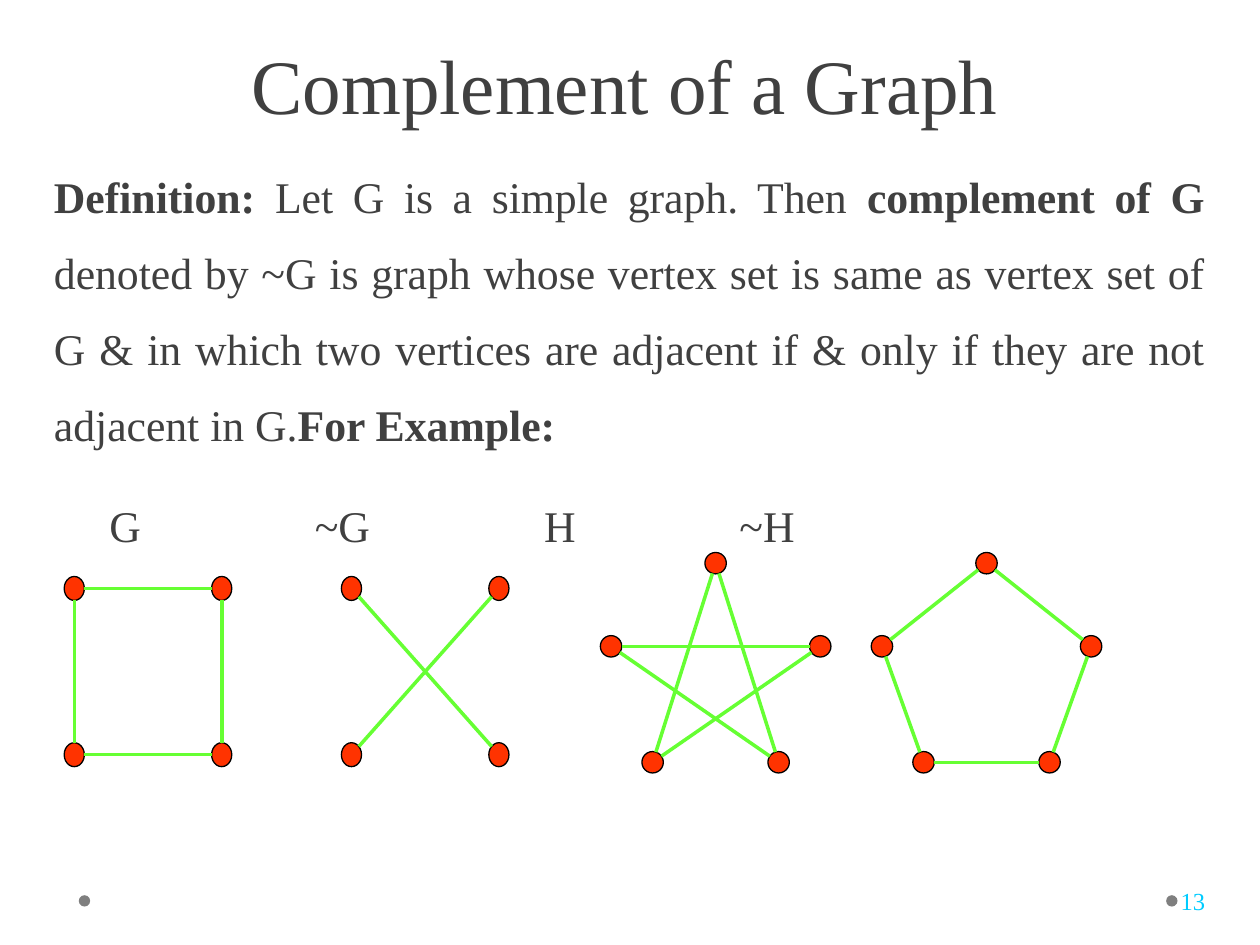
from dataclasses import dataclass
from itertools import combinations
from math import hypot

from lxml import etree
from pptx import Presentation
from pptx.dml.color import RGBColor
from pptx.enum.shapes import MSO_CONNECTOR, MSO_SHAPE
from pptx.enum.text import MSO_ANCHOR, PP_ALIGN
from pptx.oxml.ns import qn
from pptx.util import Inches, Pt

LINE = MSO_CONNECTOR.STRAIGHT
NODE = MSO_SHAPE.FLOWCHART_CONNECTOR
OVAL = MSO_SHAPE.OVAL
TOP, MIDDLE, BOTTOM = MSO_ANCHOR.TOP, MSO_ANCHOR.MIDDLE, MSO_ANCHOR.BOTTOM
LEFT, CENTER, JUSTIFY = PP_ALIGN.LEFT, PP_ALIGN.CENTER, PP_ALIGN.JUSTIFY


@dataclass(frozen=True)
class Theme:
    font: str = "Times New Roman"
    ink: str = "404040"
    accent: str = "00CCFF"
    dot: str = "7F7F7F"
    node: str = "FF3300"
    rim: str = "000000"
    edge: str = "66FF33"
    title: float = 44
    body: float = 25
    number: float = 14


def color(code):
    return RGBColor.from_string(code)


def cycle(count):
    return {tuple(sorted((i, (i + 1) % count))) for i in range(count)}


def invert(count, edges):
    """Return the edges of the complement graph."""
    return set(combinations(range(count), 2)) - edges


class Deck:
    def __init__(self, theme):
        self.theme = theme
        self.file = Presentation()
        self.file.slide_width, self.file.slide_height = Inches(10), Inches(7.5)
        self.slide = self.file.slides.add_slide(self.file.slide_layouts[6])

    def frame(self, left, top, width, height, anchor=TOP):
        box = self.slide.shapes.add_textbox(
            Inches(left), Inches(top), Inches(width), Inches(height))
        frame = box.text_frame
        frame.word_wrap = True
        frame.vertical_anchor = anchor
        return frame

    def text(self, para, runs, size, tint=None, align=LEFT, tabs=()):
        """Fill a paragraph with (words, bold) runs."""
        if tabs:
            stops = etree.SubElement(para._p.get_or_add_pPr(), qn("a:tabLst"))
            for stop in tabs:
                etree.SubElement(stops, qn("a:tab"), pos=str(Inches(stop)), algn="l")
        para.alignment = align
        para.font.name = self.theme.font
        para.font.size = Pt(size)
        para.font.color.rgb = color(tint or self.theme.ink)
        for words, bold in runs:
            run = para.add_run()
            run.text = words
            if bold:
                run.font.bold = True

    def oval(self, shapes, kind, mid, size, fill, rim=None):
        """Draw an oval around its middle point."""
        (x, y), (width, height) = mid, size
        shape = shapes.add_shape(kind, Inches(x - width / 2), Inches(y - height / 2),
                                 Inches(width), Inches(height))
        shape.shadow.inherit = False
        shape.fill.solid()
        shape.fill.fore_color.rgb = color(fill)
        if rim:
            shape.line.color.rgb = color(rim)
            shape.line.width = Pt(0.75)
        else:
            shape.line.fill.background()

    def edge(self, shapes, start, end, size):
        """Join two nodes from rim to rim."""
        dx, dy = end[0] - start[0], end[1] - start[1]
        trim = 1 / hypot(2 * dx / size[0], 2 * dy / size[1])
        line = shapes.add_connector(
            LINE, Inches(start[0] + trim * dx), Inches(start[1] + trim * dy),
            Inches(end[0] - trim * dx), Inches(end[1] - trim * dy))
        line.line.color.rgb = color(self.theme.edge)
        line.line.width = Pt(2)
        etree.SubElement(line._element.spPr, qn("a:effectLst"))

    def graph(self, origin, points, edges, size):
        shapes = self.slide.shapes.add_group_shape().shapes
        nodes = [(origin[0] + x, origin[1] + y) for x, y in points]
        for node in nodes:
            self.oval(shapes, NODE, node, size, self.theme.node, self.theme.rim)
        for a, b in sorted(edges):
            self.edge(shapes, nodes[a], nodes[b], size)


def main():
    theme = Theme()
    deck = Deck(theme)

    for x in (0.67, 9.3):
        deck.oval(deck.slide.shapes, OVAL, (x, 7.15), (0.09, 0.09), theme.dot)

    title = deck.frame(0.25, 0, 9.42, 1.08, BOTTOM).paragraphs[0]
    deck.text(title, [("Complement of a Graph", False)], theme.title, align=CENTER)
    title.line_spacing = Pt(58)

    body = deck.frame(0.33, 1.11, 9.33, 5.89)
    intro, names = body.paragraphs[0], body.add_paragraph()
    deck.text(intro, [
        ("Definition: ", True),
        ("Let G is a simple graph. Then ", False),
        ("complement of G ", True),
        ("denoted by ~G is graph whose vertex set is same as vertex set of G & in "
         "which two vertices are adjacent if & only if they are not adjacent in G.",
         False),
        ("For Example:", True),
    ], theme.body, align=JUSTIFY)
    deck.text(names, [("\tG\t~G\tH\t~H", False)], theme.body,
              tabs=(0.44, 2.07, 3.89, 5.44))
    intro.line_spacing = names.line_spacing = 1.45
    names.space_before = Pt(14)

    number = deck.frame(9.34, 6.95, 0.61, 0.4, MIDDLE)
    number.margin_left, number.margin_right = Inches(0.03), Inches(0.05)
    deck.text(number.paragraphs[0], [("13", False)], theme.number, theme.accent)

    square = [(0, 0), (1.17, 0), (1.17, 1.32), (0, 1.32)]
    penta = [(0, 0), (0.83, 0.66), (0.5, 1.58), (-0.5, 1.58), (-0.83, 0.66)]
    ring, loop = cycle(4), cycle(5)
    tall, small = (0.16, 0.19), (0.17, 0.17)
    deck.graph((0.59, 4.67), square, ring, tall)
    deck.graph((2.79, 4.67), square, invert(4, ring), tall)
    deck.graph((5.68, 4.47), penta, invert(5, loop), small)
    deck.graph((7.83, 4.47), penta, loop, small)

    deck.file.save("out.pptx")


if __name__ == "__main__":
    main()
